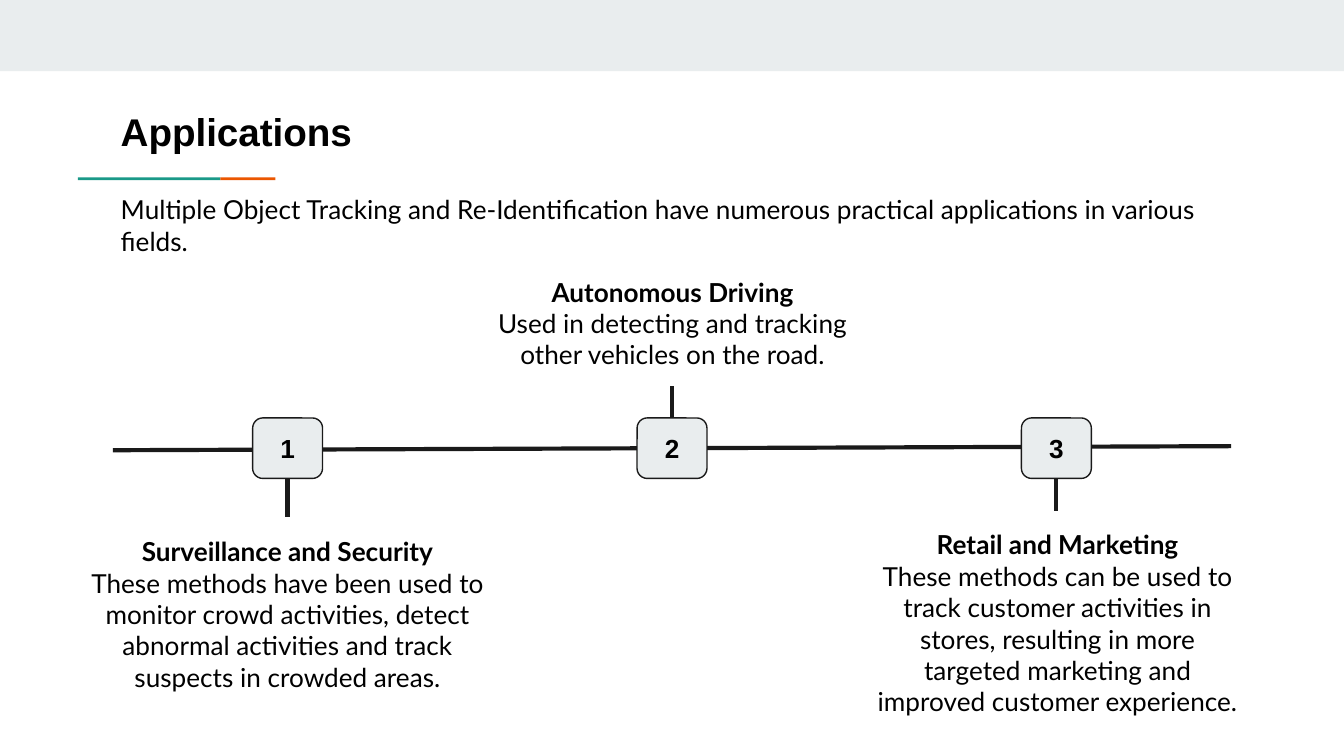
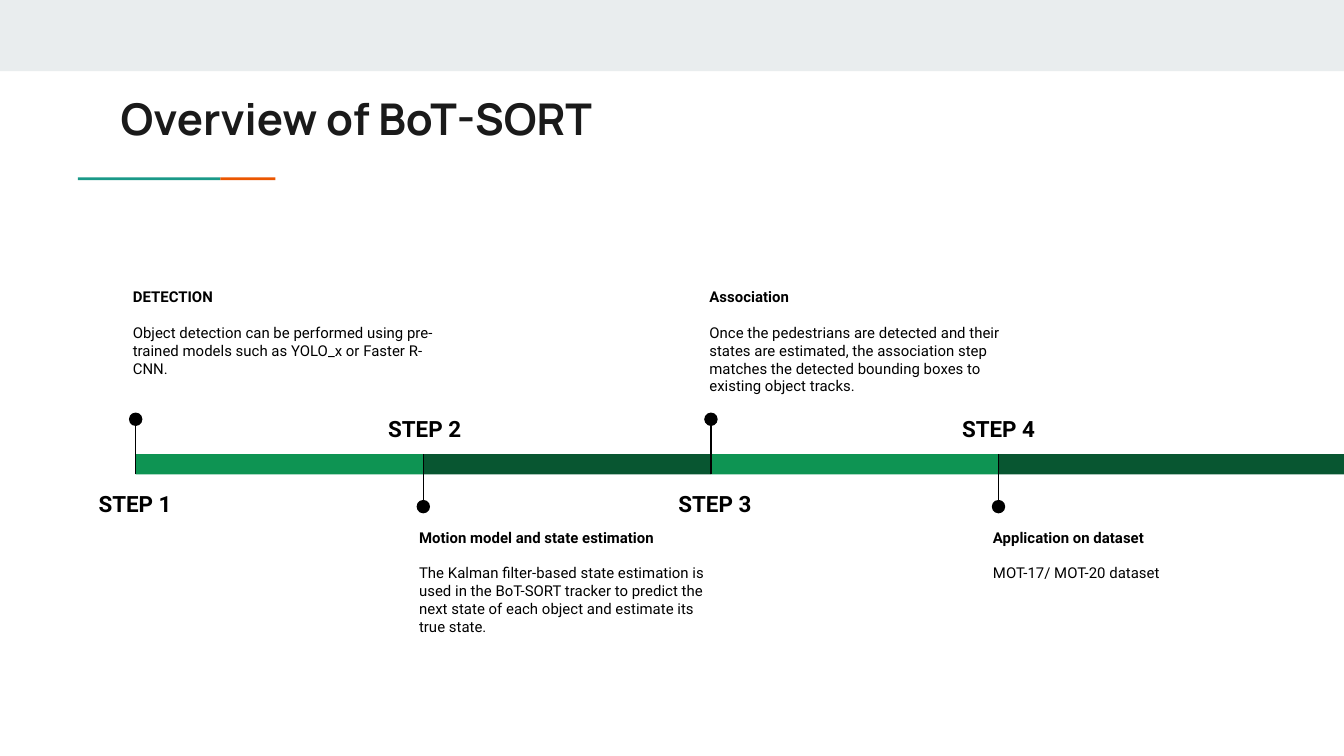
import dataclasses

import lxml.etree
import pptx
import pptx.dml.color
import pptx.enum.shapes
import pptx.enum.text
import pptx.oxml.ns
import pptx.util

Inches = pptx.util.Inches
SHAPES = pptx.enum.shapes.MSO_SHAPE
ALIGN = pptx.enum.text.PP_ALIGN
ANCHOR = pptx.enum.text.MSO_ANCHOR


@dataclasses.dataclass
class TextStyle:
    font: str
    size: float
    bold: bool = False
    color: str = "000000"
    line_spacing: float = 1.0
    space_after: float = 0


class Theme:
    black = "000000"
    ink = "1A1A1A"
    band = "E9EDEE"
    teal = "1A9988"
    orange = "EB5600"
    greens = ("0E9453", "085631")
    thin, thick = 0.75, 2.25

    arial_title = TextStyle("Arial", 20.7, True, line_spacing=1.15)
    manrope_title = TextStyle("Manrope", 23.4, True, ink)
    number = TextStyle("Arial", 14, True)
    field = TextStyle("Lato", 14, True, line_spacing=1.15)
    body = TextStyle("Lato", 14)
    step = TextStyle("Roboto", 12, True, line_spacing=1.15)
    step_heading = TextStyle("Roboto", 8, True, space_after=9.6)
    step_body = TextStyle("Roboto", 8)


def add_box(page, at, kind=None, fill=None, outline=None, paragraphs=(), align=ALIGN.LEFT):
    """Add a preset shape, or a text box when kind is None; paragraphs are (style, text) pairs."""
    place = [Inches(length) for length in at]
    if kind is None:
        box = page.shapes.add_textbox(*place)
    else:
        box = page.shapes.add_shape(kind, *place)
        box.shadow.inherit = False
        box.fill.solid()
        box.fill.fore_color.rgb = pptx.dml.color.RGBColor.from_string(fill)
        if outline:
            box.line.color.rgb = pptx.dml.color.RGBColor.from_string(outline)
            box.line.width = pptx.util.Pt(Theme.thin)
        else:
            box.line.fill.background()

    frame = box.text_frame
    frame.word_wrap = True
    frame.vertical_anchor = ANCHOR.MIDDLE if kind else ANCHOR.TOP
    frame.margin_left = frame.margin_right = Inches(0.1)
    frame.margin_top = frame.margin_bottom = Inches(0.1)
    for index, (style, text) in enumerate(paragraphs):
        para = frame.add_paragraph() if index else frame.paragraphs[0]
        para.alignment = align
        para.line_spacing = style.line_spacing
        para.space_after = pptx.util.Pt(style.space_after)
        span = para.add_run()
        span.text = text
        span.font.name = style.font
        span.font.size = pptx.util.Pt(style.size)
        span.font.bold = style.bold
        span.font.color.rgb = pptx.dml.color.RGBColor.from_string(style.color)


def add_line(page, start, end, color, width):
    ends = [Inches(length) for length in (*start, *end)]
    line = page.shapes.add_connector(pptx.enum.shapes.MSO_CONNECTOR.STRAIGHT, *ends)
    line.line.color.rgb = pptx.dml.color.RGBColor.from_string(color)
    line.line.width = pptx.util.Pt(width)
    properties = line._element.find(pptx.oxml.ns.qn("p:spPr"))
    lxml.etree.SubElement(properties, pptx.oxml.ns.qn("a:effectLst"))


deck = pptx.Presentation()
deck.slide_width = Inches(10)
deck.slide_height = Inches(10 * 9 / 16)

# Shared frame: top band, two-colour rule and title
pages = []
for title, style, top in [
    ("Applications", Theme.arial_title, 0.65),
    ("Overview of BoT-SORT", Theme.manrope_title, 0.58),
]:
    page = deck.slides.add_slide(deck.slide_layouts[6])
    add_box(page, (0, 0, 10, 0.53), SHAPES.RECTANGLE, Theme.band)
    add_box(page, (0.58, 1.32, 1.06, 0.02), SHAPES.RECTANGLE, Theme.teal)
    add_box(page, (1.64, 1.32, 0.41, 0.02), SHAPES.RECTANGLE, Theme.orange)
    add_box(page, (0.8, top, 8.41, 0.59), paragraphs=[(style, title)])
    pages.append(page)
applications, overview = pages

# Applications: three numbered fields along a line
add_box(applications, (0.8, 1.34, 8.41, 0.67), paragraphs=[
    (Theme.body, "Multiple Object Tracking and Re-Identification have numerous "
                 "practical applications in various fields."),
])
add_line(applications, (0.84, 3.35), (9.16, 3.32), Theme.ink, Theme.thick)

fields = [
    ("Surveillance and Security",
     "These methods have been used to monitor crowd activities, detect abnormal "
     "activities and track suspects in crowded areas.",
     (0.43, 3.85, 3.42, 1.42), (3.56, 3.85)),
    ("Autonomous Driving",
     "Used in detecting and tracking other vehicles on the road.",
     (3.42, 1.92, 3.17, 0.94), (3.11, 2.87)),
    ("Retail and Marketing",
     "These methods can be used to track customer activities in stores, resulting "
     "in more targeted marketing and improved customer experience.",
     (6.4, 3.8, 2.94, 1.65), (3.56, 3.8)),
]
for index, (heading, text, text_at, (stem_start, stem_end)) in enumerate(fields):
    center = 5 + (index - 1) * 2.86
    add_box(applications, (center - 0.26, 3.11, 0.52, 0.45), SHAPES.ROUNDED_RECTANGLE,
            Theme.band, Theme.ink, [(Theme.number, str(index + 1))], ALIGN.CENTER)
    add_box(applications, text_at, align=ALIGN.CENTER,
            paragraphs=[(Theme.field, heading), (Theme.body, text)])
    add_line(applications, (center, stem_start), (center, stem_end), Theme.ink, Theme.thick)

# Overview: four steps, described in turn above and below the bar
steps = [
    ("DETECTION",
     "Object detection can be performed using pre-trained models such as YOLO_x "
     "or Faster R-CNN.",
     0.89, (0.53, 0.95)),
    ("Motion model and state estimation",
     "The Kalman filter-based state estimation is used in the BoT-SORT tracker to "
     "predict the next state of each object and estimate its true state.",
     3.02, (2.75, 0.82)),
    ("Association",
     "Once the pedestrians are detected and their states are estimated, the "
     "association step matches the detected bounding boxes to existing object tracks.",
     5.18, (4.94, 0.76)),
    ("Application on dataset", "MOT-17/ MOT-20 dataset",
     7.29, (7.02, 0.82)),
]
bar_width, bar_top, bar_height = 2.14, 3.38, 0.15
for index, (heading, text, text_left, (label_left, label_width)) in enumerate(steps):
    left = 1.01 + index * bar_width
    width = 10 - left if index == len(steps) - 1 else bar_width
    if index % 2 == 0:
        dot_center, line_end, label_top, text_top = 3.12, bar_top + bar_height, 3.52, 2.04
    else:
        dot_center, line_end, label_top, text_top = 3.77, bar_top, 2.96, 3.83
    add_box(overview, (left, bar_top, width, bar_height), SHAPES.RECTANGLE,
            Theme.greens[index % 2])
    add_line(overview, (left, dot_center), (left, line_end), Theme.black, Theme.thin)
    add_box(overview, (left - 0.05, dot_center - 0.05, 0.1, 0.1), SHAPES.OVAL, Theme.black)
    add_box(overview, (label_left, label_top, label_width, 0.41), align=ALIGN.CENTER,
            paragraphs=[(Theme.step, f"STEP {index + 1}")])
    add_box(overview, (text_left, text_top, 2.46, 1.03),
            paragraphs=[(Theme.step_heading, heading), (Theme.step_body, text)])

deck.save("out.pptx")
